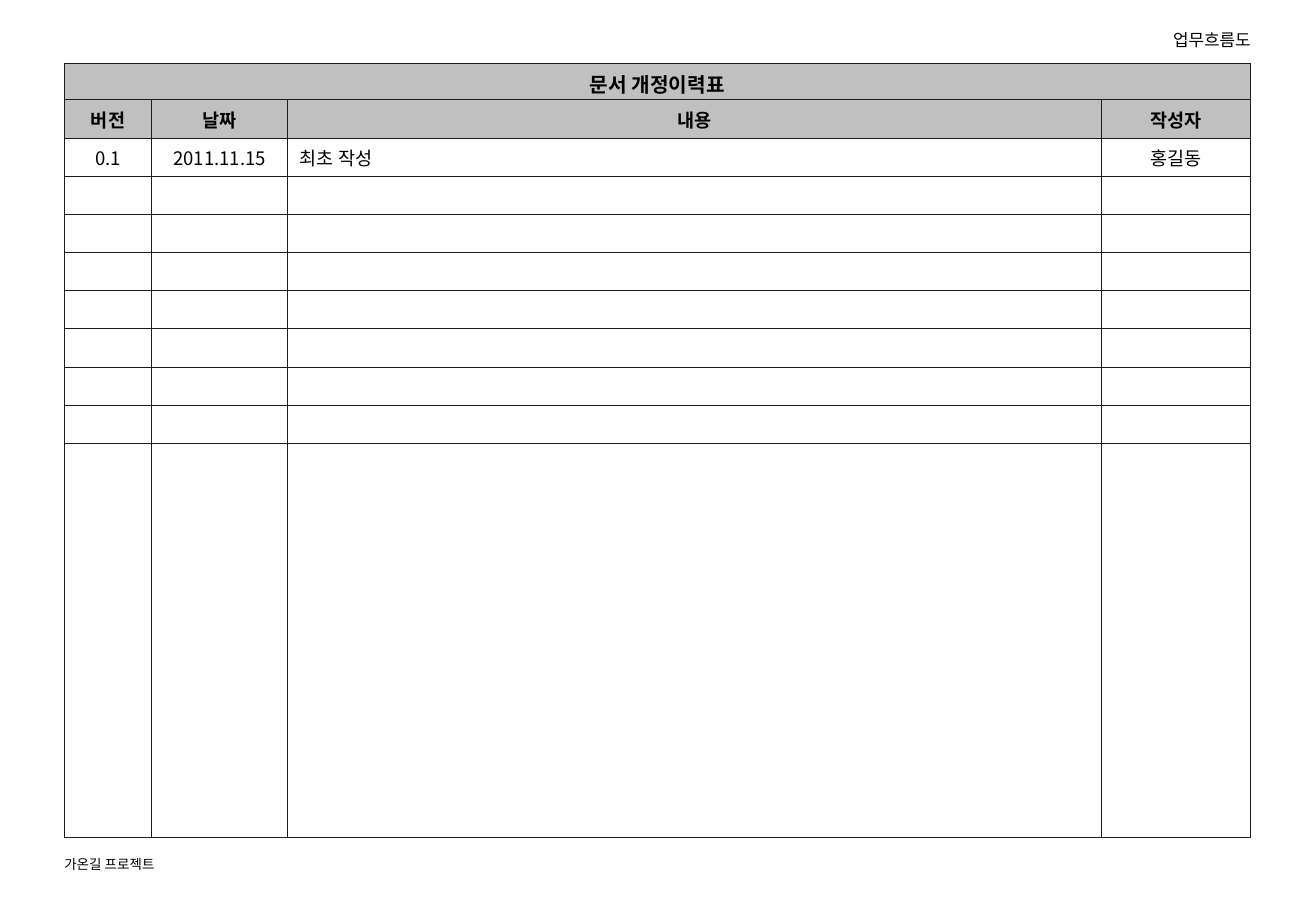
from pptx import Presentation
from pptx.dml.color import RGBColor
from pptx.enum.text import MSO_ANCHOR, PP_ALIGN
from pptx.oxml import parse_xml
from pptx.oxml.ns import nsdecls
from pptx.util import Inches, Pt

BLACK = RGBColor(0x00, 0x00, 0x00)
GRAY = RGBColor(0xC0, 0xC0, 0xC0)
EDGE = RGBColor(0x1C, 0x1C, 0x1C)
FONT = "Noto Sans CJK KR"
LEFT = 0.53
WIDTH = 9.77
COLS = [0.72, 1.12, 6.7, 1.23]
ROWS = [0.3, 0.32] + [2.51 / 8] * 8 + [3.25]
TEXTS = [
    ["문서 개정이력표"],
    ["버전", "날짜", "내용", "작성자"],
    ["0.1", "2011.11.15", "최초 작성", "홍길동"],
]


def style(para, size, align, bold=False):
    """Set the alignment and font of a paragraph."""
    para.alignment = align
    font = para.font
    font.name, font.size, font.bold = FONT, Pt(size), bold
    font.color.rgb = BLACK
    east = parse_xml(f'<a:ea {nsdecls("a")} typeface="{FONT}"/>')
    para._p.pPr.find(".//{*}latin").addnext(east)


def add_label(slide, text, left, top, width, height, size, align):
    """Add a line of text without margins."""
    box = slide.shapes.add_textbox(*map(Inches, (left, top, width, height)))
    frame = box.text_frame
    frame.word_wrap = True
    frame.margin_left = frame.margin_right = 0
    frame.margin_top = frame.margin_bottom = 0
    frame.text = text
    style(frame.paragraphs[0], size, align)


def add_edges(cell):
    """Draw thin lines on all four sides of a cell."""
    props = cell._tc.get_or_add_tcPr()
    for side in "LRTB":
        props.append(parse_xml(
            f'<a:ln{side} {nsdecls("a")} w="{Pt(0.45)}"><a:solidFill>'
            f'<a:srgbClr val="{EDGE}"/></a:solidFill></a:ln{side}>'))


def fill_cell(cell, text, row, col):
    """Write and format one cell by its place in the table."""
    add_edges(cell)
    head = row < 2
    if head:
        cell.fill.solid()
        cell.fill.fore_color.rgb = GRAY
    else:
        cell.fill.background()
    cell.vertical_anchor = MSO_ANCHOR.MIDDLE
    cell.margin_left = cell.margin_right = Inches(0.1)
    cell.margin_top = Inches(0.04 if row == 0 else 0)
    cell.margin_bottom = 0
    cell.text = text
    align = PP_ALIGN.LEFT if col == 2 and not head else PP_ALIGN.CENTER
    style(cell.text_frame.paragraphs[0], 12 if row == 0 else 11, align, head)


def add_log(slide):
    """Add the table of document revisions."""
    frame = slide.shapes.add_table(
        len(ROWS), len(COLS), Inches(LEFT), Inches(0.52),
        Inches(WIDTH), Inches(sum(ROWS)))
    table = frame.table
    table.first_row = table.horz_banding = False
    for col, width in zip(table.columns, COLS):
        col.width = Inches(width)
    for row, height in zip(table.rows, ROWS):
        row.height = Inches(height)
    table.cell(0, 0).merge(table.cell(0, len(COLS) - 1))
    for row in range(len(ROWS)):
        words = TEXTS[row] if row < len(TEXTS) else []
        for col in range(len(COLS)):
            text = words[col] if col < len(words) else ""
            fill_cell(table.cell(row, col), text, row, col)


def main():
    """Build the slide and save it."""
    deck = Presentation()
    deck.slide_width, deck.slide_height = Inches(10.84), Inches(7.5)
    slide = deck.slides.add_slide(deck.slide_layouts[6])
    add_log(slide)
    add_label(slide, "가온길 프로젝트", LEFT, 7.05, 3.55, 0.16, 8, PP_ALIGN.LEFT)
    add_label(slide, "업무흐름도", 7.11, 0.24, 3.19, 0.2, 10, PP_ALIGN.RIGHT)
    deck.save("out.pptx")


if __name__ == "__main__":
    main()
